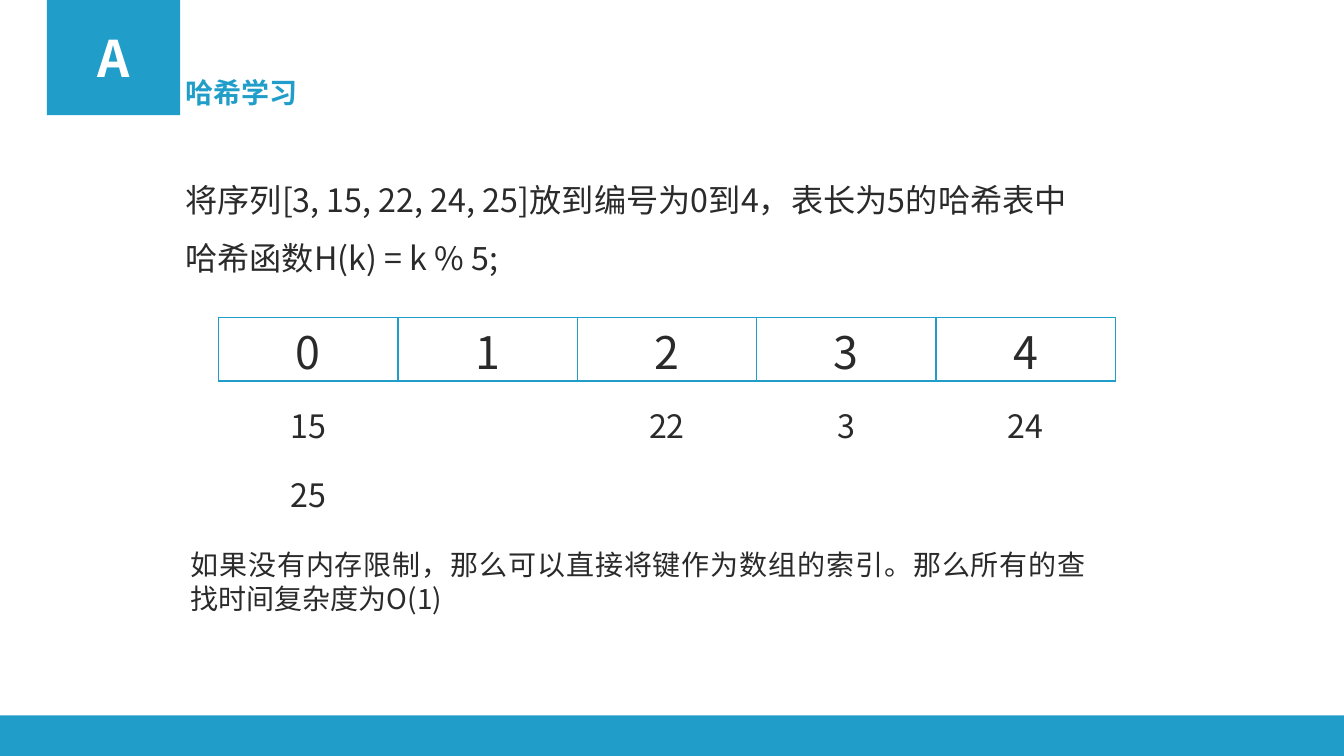
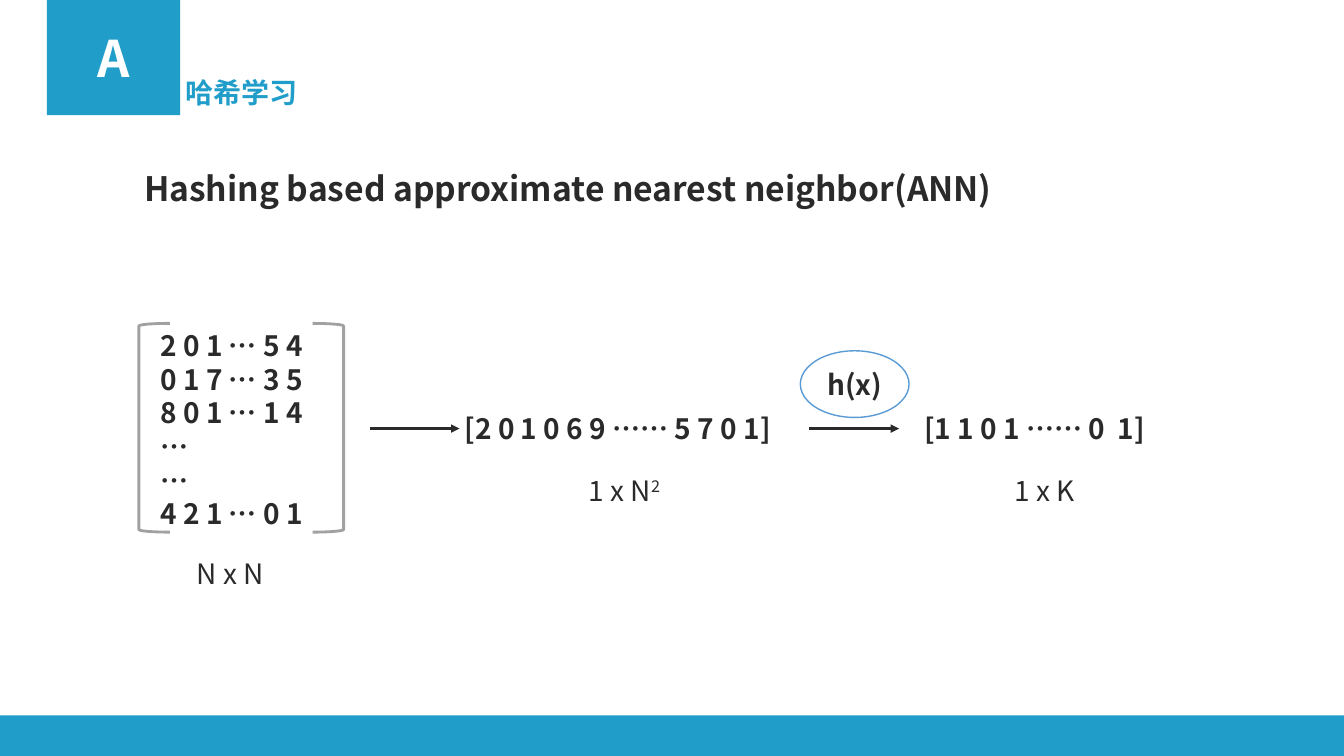
from lxml.etree import SubElement
from pptx import Presentation
from pptx.dml.color import RGBColor
from pptx.enum.shapes import MSO_CONNECTOR, MSO_SHAPE
from pptx.enum.text import MSO_ANCHOR, PP_ALIGN
from pptx.oxml.ns import qn
from pptx.util import Cm, Pt

FONT = "Noto Sans CJK SC"
INK = {"blue": "219DC9", "text": "2A2A2A", "white": "FFFFFF",
       "gray": "A1A1A1", "oval": "5B9BD5"}
WIDE, HIGH = 33.87, 19.05
PAD = Cm(0.13)


def rgb(name):
    return RGBColor.from_string(INK[name])


def put(para, runs, size, color="text", bold=False, align=PP_ALIGN.JUSTIFY):
    """Fill a paragraph; each run is a text and its baseline shift in percent."""
    para.alignment = align
    for text, shift in runs:
        run = para.add_run()
        run.text = text
        font = run.font
        font.name, font.size, font.bold = FONT, Pt(size), bold
        font.color.rgb = rgb(color)
        props = run._r.get_or_add_rPr()
        SubElement(props, qn("a:ea"), typeface=FONT)
        if shift:
            props.set("baseline", str(shift * 1000))


def inset(frame):
    frame.margin_left = frame.margin_right = PAD
    frame.margin_top = frame.margin_bottom = PAD


def label(slide, box, lines, size=20, space=1.0, **style):
    shape = slide.shapes.add_textbox(*map(Cm, box))
    frame = shape.text_frame
    frame.word_wrap = True
    inset(frame)
    for num, line in enumerate(lines):
        para = frame.add_paragraph() if num else frame.paragraphs[0]
        para.line_spacing = space
        put(para, [(line, 0)] if isinstance(line, str) else line, size, **style)
    return shape


def form(slide, kind, box, fill=None, line=None, width=1):
    shape = slide.shapes.add_shape(kind, *map(Cm, box))
    shape.shadow.inherit = False
    if fill:
        shape.fill.solid()
        shape.fill.fore_color.rgb = rgb(fill)
    else:
        shape.fill.background()
    if line:
        shape.line.color.rgb = rgb(line)
        shape.line.width = Pt(width)
    else:
        shape.line.fill.background()
    return shape


def mark(shape, text, size, color):
    """Write one bold word in the middle of a shape."""
    frame = shape.text_frame
    frame.word_wrap = False
    inset(frame)
    frame.vertical_anchor = MSO_ANCHOR.MIDDLE
    put(frame.paragraphs[0], [(text, 0)], size, color, True, PP_ALIGN.CENTER)


def arrow(slide, start, end, y):
    line = slide.shapes.add_connector(
        MSO_CONNECTOR.STRAIGHT, Cm(start), Cm(y), Cm(end), Cm(y))
    line.line.color.rgb = rgb("text")
    line.line.width = Pt(2)
    SubElement(line.line._get_or_add_ln(), qn("a:tailEnd"), type="triangle")
    SubElement(line._element.spPr, qn("a:effectLst"))
    return line


def edge(cell):
    props = cell._tc.get_or_add_tcPr()
    for num, side in enumerate(("lnL", "lnR", "lnT", "lnB")):
        line = props.makeelement(qn("a:" + side), {"w": str(Pt(1))})
        fill = SubElement(line, qn("a:solidFill"))
        SubElement(fill, qn("a:srgbClr"), val=INK["blue"])
        props.insert(num, line)


def grid(slide, left, top, step, high, heads):
    count = len(heads)
    frame = slide.shapes.add_table(
        1, count, Cm(left), Cm(top), Cm(step * count), Cm(high))
    table = frame.table
    table.first_row = table.horz_banding = False
    for col, head in enumerate(heads):
        table.columns[col].width = Cm(step)
        cell = table.cell(0, col)
        cell.margin_top = cell.margin_bottom = 0
        cell.fill.background()
        put(cell.text_frame.paragraphs[0], [(head, 0)], 32,
            align=PP_ALIGN.CENTER)
        edge(cell)


def page(deck):
    """Add a slide with the shared band, badge and title."""
    slide = deck.slides.add_slide(deck.slide_layouts[6])
    form(slide, MSO_SHAPE.RECTANGLE, (0, 18.03, WIDE, 1.02), "blue")
    badge = form(slide, MSO_SHAPE.RECTANGLE, (1.18, 0, 3.36, 2.9), "blue")
    mark(badge, "A", 36, "white")
    label(slide, (4.54, 1.78, 4, 1.12), ["哈希学习"], color="blue", bold=True)
    return slide


def buckets(deck):
    slide = page(deck)
    label(slide, (4.54, 3.94, 24.5, 3.02),
          ["将序列[3, 15, 22, 24, 25]放到编号为0到4，表长为5的哈希表中",
           "哈希函数H(k) = k % 5;"], 23, 1.5)
    left, step = 5.51, 4.52
    grid(slide, left, 8, step, 1.6, "01234")
    for col, keys in enumerate((["15", "25"], [], ["22"], ["3"], ["24"])):
        for row, key in enumerate(keys):
            box = (left + step * col, 9.63 + 1.72 * row, step, 1.55)
            label(slide, box, [key], 23, 1.5, align=PP_ALIGN.CENTER)
    label(slide, (4.67, 13.67, 22.83, 1.96),
          ["如果没有内存限制，那么可以直接将键作为数组的索引。"
           "那么所有的查找时间复杂度为O(1)"])


def neighbor(deck):
    slide = page(deck)
    label(slide, (3.5, 4.09, 26.62, 1.27),
          ["Hashing based approximate nearest neighbor(ANN)"], 24, bold=True)

    for kind, left in ((MSO_SHAPE.LEFT_BRACKET, 3.5),
                       (MSO_SHAPE.RIGHT_BRACKET, 7.88)):
        form(slide, kind, (left, 8.15, 0.78, 5.26), line="gray", width=2)
    label(slide, (3.91, 8.15, 4.37, 5.38),
          ["2 0 1 … 5 4", "0 1 7 … 3 5", "8 0 1 … 1 4", "…", "…",
           "4 2 1 … 0 1"], bold=True)

    top, high = 10.24, 1.12
    long = label(slide, (11.58, top, 8.82, high),
                 ["[2 0 1 0 6 9 …… 5 7 0 1]"], bold=True)
    label(slide, (23.16, top, 8.86, high), ["[1 1 0 1 …… 0  1]"], bold=True)
    mid = top + high / 2
    arrow(slide, 9.32, 11.58, mid).end_connect(long, 1)
    arrow(slide, 20.4, 22.66, mid).begin_connect(long, 3)
    oval = form(slide, MSO_SHAPE.OVAL, (20.17, 8.84, 2.74, 1.68), line="oval")
    mark(oval, "h(x)", 20, "text")

    for left, y, line in ((4.83, 13.89, "N x N"),
                          (14.71, 11.79, [("1 x N", 0), ("2", 30)]),
                          (25.43, 11.79, "1 x K")):
        label(slide, (left, y, 2.62, high), [line])


def main():
    deck = Presentation()
    deck.slide_width, deck.slide_height = Cm(WIDE), Cm(HIGH)
    buckets(deck)
    neighbor(deck)
    deck.save("out.pptx")


if __name__ == "__main__":
    main()
